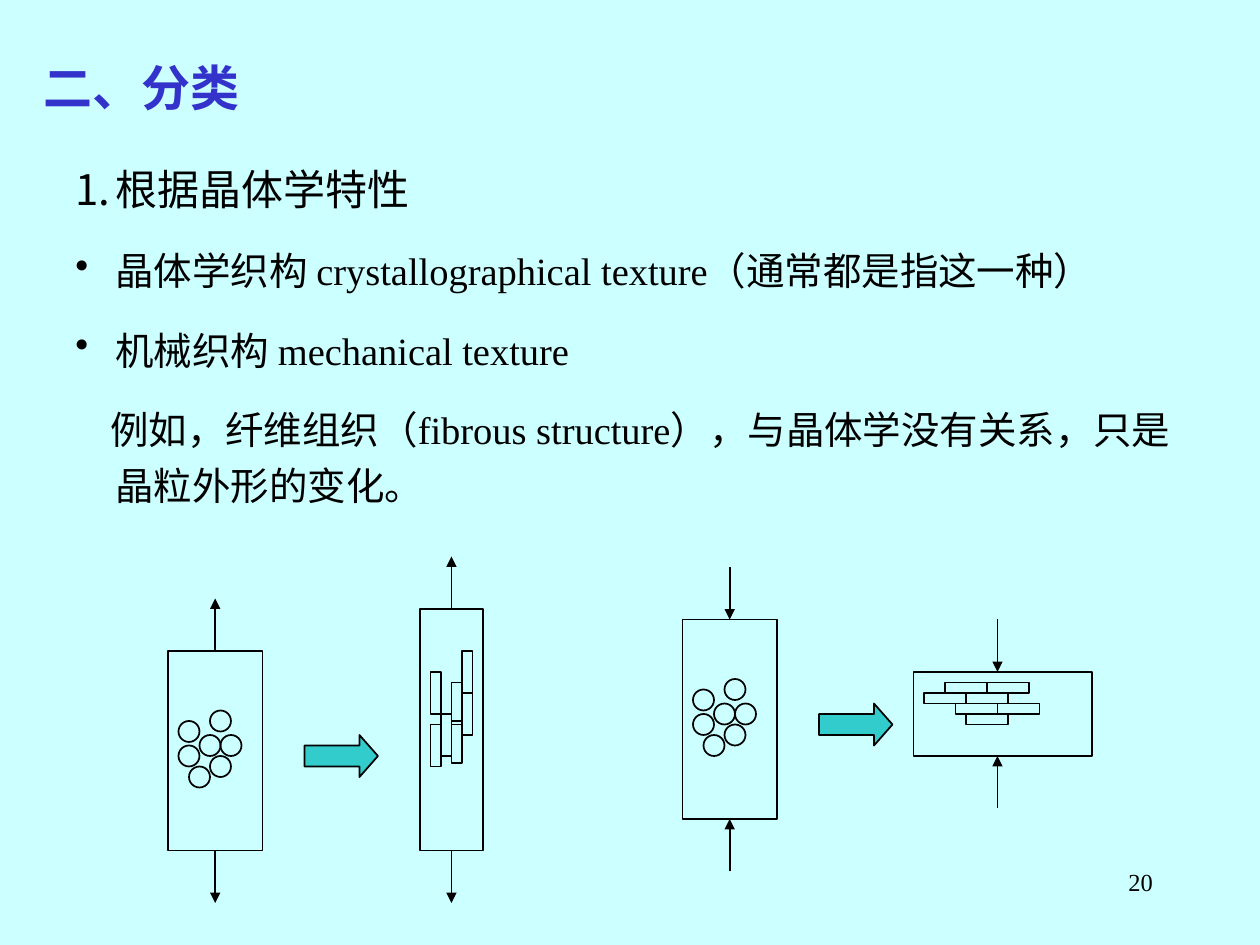
from pptx import Presentation
from pptx.dml.color import RGBColor
from pptx.enum.lang import MSO_LANGUAGE_ID
from pptx.enum.shapes import MSO_CONNECTOR, MSO_SHAPE
from pptx.enum.text import MSO_AUTO_SIZE, PP_ALIGN
from pptx.oxml.ns import qn
from pptx.util import Pt
from lxml.etree import SubElement

TOP, BOTTOM = 0, 2
STRESS_LENGTH = 30
ROUND_GRAINS = [(6, 40), (30, 48), (18, 48), (6, 54), (24, 60), (12, 66), (24, 34)]
TALL_GRAINS = [(6, 36), (18, 42), (24, 48), (18, 64), (12, 60), (6, 66), (24, 24)]
FLAT_GRAINS = [(18, 6), (30, 12), (42, 6), (6, 12), (48, 18), (24, 18), (30, 24)]


def color(value):
    return RGBColor.from_string(value)


def apply(target, values):
    for name, value in values.items():
        setattr(target, name, value)


class TextureSlide:
    font_name = "Times New Roman"
    ink = "000000"
    accent = "33CCCC"
    heading = "3333CC"
    paper = "CCFFFF"

    def __init__(self, presentation):
        self.slide = presentation.slides.add_slide(presentation.slide_layouts[6])
        self.slide.background.fill.solid()
        self.slide.background.fill.fore_color.rgb = color(self.paper)

    def text_box(self, frame, paragraphs, auto_size=MSO_AUTO_SIZE.NONE):
        shape = self.slide.shapes.add_textbox(*map(Pt, frame))
        text_frame = shape.text_frame
        apply(text_frame, {"word_wrap": True, "auto_size": auto_size})
        for index, values in enumerate(paragraphs):
            paragraph = text_frame.add_paragraph() if index else text_frame.paragraphs[0]
            self.paragraph(paragraph, **values)

    def paragraph(self, paragraph, text, size, ink=ink, bold=False, margin=0,
                  indent=0, bullet=None, layout=None):
        properties = paragraph._p.get_or_add_pPr()
        properties.set("marL", str(Pt(margin)))
        properties.set("indent", str(Pt(indent)))
        apply(paragraph, layout or {})
        if bullet:
            tag, attribute, value = bullet
            bullet_color = SubElement(properties, qn("a:buClr"))
            SubElement(bullet_color, qn("a:srgbClr")).set("val", self.ink)
            SubElement(properties, qn(tag)).set(attribute, value)
        run = paragraph.add_run()
        run.text = text
        apply(run.font, {"name": self.font_name, "size": Pt(size), "bold": bold,
                         "language_id": MSO_LANGUAGE_ID.SIMPLIFIED_CHINESE})
        run.font.color.rgb = color(ink)

    def outline(self, shapes, kind, frame, fill=None):
        shape = shapes.add_shape(kind, *map(Pt, frame))
        shape.shadow.inherit = False
        if fill:
            shape.fill.solid()
            shape.fill.fore_color.rgb = color(fill)
        else:
            shape.fill.background()
        shape.line.color.rgb = color(self.ink)
        shape.line.width = Pt(1)
        return shape

    def block_arrow(self, left, top):
        shape = self.outline(self.slide.shapes, MSO_SHAPE.RIGHT_ARROW,
                             (left, top, 42, 24), self.accent)
        shape.adjustments[0] = 0.5
        shape.adjustments[1] = 0.44

    def stress(self, shapes, box, x, site, outward):
        edge = box.top.pt + (box.height.pt if site == BOTTOM else 0)
        far = edge + (STRESS_LENGTH if site == BOTTOM else -STRESS_LENGTH)
        start, end = (edge, far) if outward else (far, edge)
        connector = shapes.add_connector(MSO_CONNECTOR.STRAIGHT, *map(Pt, (x, start, x, end)))
        connector.line.color.rgb = color(self.ink)
        connector.line.width = Pt(1)
        SubElement(connector.line._get_or_add_ln(), qn("a:tailEnd")).set("type", "triangle")
        SubElement(connector._element.spPr, qn("a:effectLst"))
        if x == box.left.pt + box.width.pt / 2:
            join = connector.begin_connect if outward else connector.end_connect
            join(box, site)

    def specimen(self, frame, grains, grain_size, kind, stress_x, outward):
        shapes = self.slide.shapes.add_group_shape().shapes
        box = self.outline(shapes, MSO_SHAPE.RECTANGLE, frame)
        for across, down in grains:
            self.outline(shapes, kind, (frame[0] + across, frame[1] + down, *grain_size))
        for site in (TOP, BOTTOM):
            self.stress(shapes, box, stress_x, site, outward)


def main():
    presentation = Presentation()
    apply(presentation, {"slide_width": Pt(720), "slide_height": Pt(540)})
    page = TextureSlide(presentation)

    page.text_box((516, 492, 150, 36), [
        {"text": "20", "size": 14, "layout": {"alignment": PP_ALIGN.RIGHT}}])
    page.text_box((18, 33, 612, 54), [
        {"text": "二、分类", "size": 28, "ink": page.heading, "bold": True,
         "margin": 27, "indent": -27, "layout": {"line_spacing": 0.9}}])

    hanging = {"margin": 23, "indent": -23}
    spaced = {"line_spacing": 1.2, "space_before": Pt(13.8)}
    item = {"size": 22, "layout": spaced, "bullet": ("a:buChar", "char", "•"), **hanging}
    page.text_box((36, 84, 642, 210), [
        {"text": "根据晶体学特性", "size": 24, "layout": {"line_spacing": 1.2},
         "bullet": ("a:buAutoNum", "type", "arabicPeriod"), **hanging},
        {"text": "晶体学织构 crystallographical texture（通常都是指这一种）", **item},
        {"text": "机械织构 mechanical texture", **item},
        {"text": "例如，纤维组织（fibrous structure），与晶体学没有关系，只是晶粒外形的变化。",
         "size": 22, "layout": spaced, "margin": 23, "indent": -3},
    ], MSO_AUTO_SIZE.SHAPE_TO_FIT_TEXT)

    oval, rectangle = MSO_SHAPE.OVAL, MSO_SHAPE.RECTANGLE
    page.specimen((96, 372, 54, 114), ROUND_GRAINS, (12, 12), oval, 123, True)
    page.block_arrow(174, 420)
    page.specimen((390, 354, 54, 114), ROUND_GRAINS, (12, 12), oval, 417, False)
    page.block_arrow(468, 402)
    page.specimen((240, 348, 36, 138), TALL_GRAINS, (6, 24), rectangle, 258, True)
    page.specimen((522, 384, 102, 48), FLAT_GRAINS, (24, 6), rectangle, 570, False)

    presentation.save("out.pptx")


if __name__ == "__main__":
    main()
